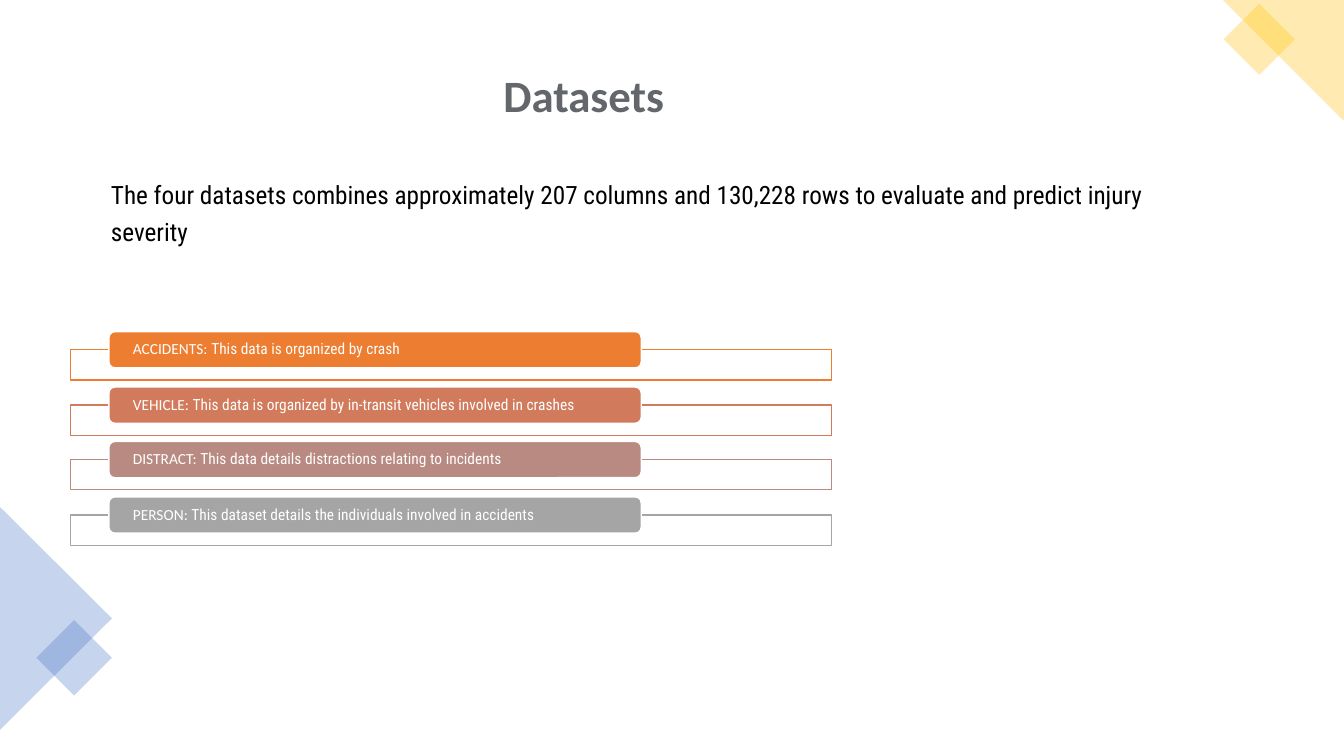
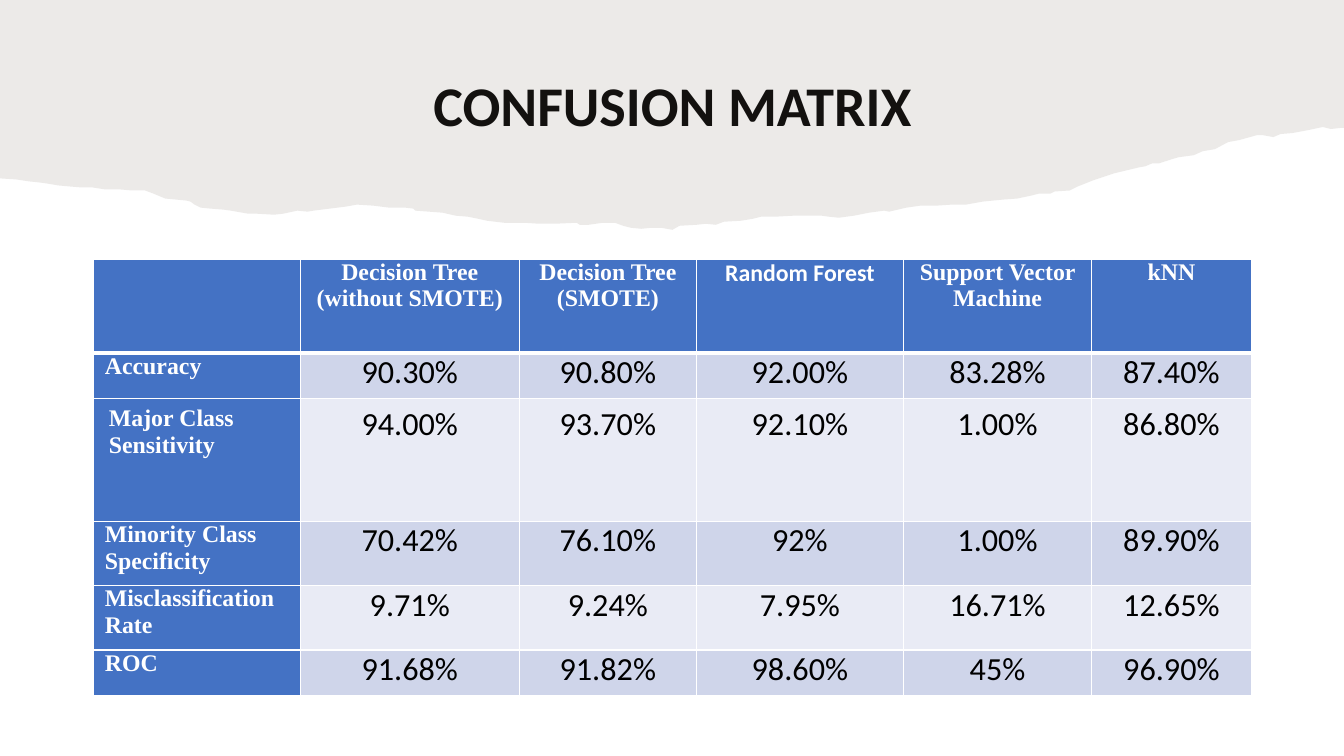
from lxml import etree
from pptx import Presentation
from pptx.dml.color import RGBColor
from pptx.enum.shapes import MSO_SHAPE
from pptx.enum.text import MSO_ANCHOR, MSO_AUTO_SIZE, PP_ALIGN
from pptx.oxml.ns import qn
from pptx.util import Pt

PX = 9144  # EMU in one px, 100 px to the inch
SLIDE_WIDTH, SLIDE_HEIGHT = 1333, 750

RECTANGLE = MSO_SHAPE.RECTANGLE
ROUNDED = MSO_SHAPE.ROUNDED_RECTANGLE
TRIANGLE = MSO_SHAPE.ISOSCELES_TRIANGLE
LEFT, CENTER = PP_ALIGN.LEFT, PP_ALIGN.CENTER
TOP, MIDDLE, BOTTOM = MSO_ANCHOR.TOP, MSO_ANCHOR.MIDDLE, MSO_ANCHOR.BOTTOM
NO_AUTOFIT = MSO_AUTO_SIZE.NONE

SANS, CONDENSED, SERIF = "Calibri", "Roboto Condensed", "Times New Roman"

WHITE = RGBColor(0xFF, 0xFF, 0xFF)
BLACK = RGBColor(0x00, 0x00, 0x00)
SLATE = RGBColor(0x63, 0x66, 0x6A)
BLUE = RGBColor(0x44, 0x72, 0xC4)
GOLD = RGBColor(0xFF, 0xC0, 0x00)
ORANGE = RGBColor(0xED, 0x7D, 0x31)
CLAY = RGBColor(0xD1, 0x7B, 0x5C)
ROSE = RGBColor(0xB9, 0x8A, 0x82)
GRAY = RGBColor(0xA5, 0xA5, 0xA5)
TAUPE = RGBColor(0x82, 0x76, 0x6A)
BAND_DARK = RGBColor(0xCF, 0xD5, 0xEA)
BAND_LIGHT = RGBColor(0xE9, 0xEB, 0xF5)

DATASETS = [
    ("ACCIDENTS: ", "This data is organized by crash", ORANGE),
    ("VEHICLE: ", "This data is organized by in-transit vehicles involved in crashes", CLAY),
    ("DISTRACT: ", "This data details distractions relating to incidents", ROSE),
    ("PERSON: ", "This dataset details the individuals involved in accidents", GRAY),
]

RESULTS = [
    ["", "Decision Tree (without SMOTE)", "Decision Tree (SMOTE)",
     "Random Forest", "Support Vector Machine", "kNN"],
    ["Accuracy", "90.30%", "90.80%", "92.00%", "83.28%", "87.40%"],
    ["Major Class Sensitivity", "94.00%", "93.70%", "92.10%", "1.00%", "86.80%"],
    ["Minority Class Specificity", "70.42%", "76.10%", "92%", "1.00%", "89.90%"],
    ["Misclassification Rate", "9.71%", "9.24%", "7.95%", "16.71%", "12.65%"],
    ["ROC", "91.68%", "91.82%", "98.60%", "45%", "96.90%"],
]
COLUMN_WIDTHS = [205, 217, 176, 205, 187, 158]
ROW_HEIGHTS = [93, 45, 122, 64, 64, 45]
ROOMY_ROW = 2

# Lower edge of the torn band, from right to left
TORN_EDGE = [
    (1333, 127), (1329, 127), (1320, 128), (1312, 126), (1298, 129), (1282, 132),
    (1270, 133), (1263, 136), (1252, 134), (1247, 134), (1229, 139), (1218, 141),
    (1205, 148), (1193, 150), (1184, 154), (1169, 156), (1162, 158), (1150, 162),
    (1143, 162), (1136, 165), (1130, 166), (1105, 172), (1084, 179), (1069, 185),
    (1061, 189), (1046, 190), (1042, 192), (1031, 192), (1023, 194), (1009, 197),
    (995, 198), (975, 200), (958, 203), (944, 203), (929, 204), (913, 204),
    (899, 206), (882, 210), (877, 209), (862, 211), (847, 214), (832, 216),
    (822, 215), (815, 214), (787, 214), (769, 215), (755, 215), (747, 217),
    (735, 219), (718, 220), (710, 223), (700, 222), (691, 223), (674, 224),
    (667, 228), (656, 226), (646, 226), (636, 227), (626, 226), (618, 224),
    (610, 221), (598, 221), (584, 223), (575, 223), (572, 221), (550, 222),
    (535, 222), (520, 221), (500, 221), (483, 219), (474, 217), (464, 215),
    (452, 214), (439, 211), (412, 209), (410, 207), (402, 206), (386, 206),
    (370, 204), (354, 203), (343, 205), (311, 209), (305, 210), (295, 209),
    (281, 212), (272, 213), (254, 212), (246, 212), (229, 209), (222, 208),
    (209, 207), (199, 206), (193, 203), (189, 200), (185, 199), (164, 197),
    (152, 192), (144, 189), (131, 189), (120, 188), (105, 188), (92, 186),
    (81, 186), (69, 185), (58, 184), (46, 182), (39, 181), (29, 180),
    (16, 178), (0, 177),
]


def place(item, left, top, width, height):
    item.left, item.top = left * PX, top * PX
    item.width, item.height = width * PX, height * PX


def set_margins(area, side, vertical):
    area.margin_left = area.margin_right = side * PX
    area.margin_top = area.margin_bottom = vertical * PX


def style_span(span, font, size, color, bold=False):
    span.font.name, span.font.size = font, Pt(size)
    span.font.color.rgb, span.font.bold = color, bold


def paint(shape, color, opacity=100, outline=None):
    shape.shadow.inherit = False
    shape.fill.solid()
    shape.fill.fore_color.rgb = color
    if opacity < 100:
        fill_color = next(shape.element.iter(qn("a:srgbClr")))
        etree.SubElement(fill_color, qn("a:alpha"), val=str(opacity * 1000))
    if outline is None:
        shape.line.fill.background()
    else:
        shape.line.color.rgb = outline
        shape.line.width = Pt(1)


def add_box(page, preset, box, color, opacity=100, outline=None, rotation=0):
    shape = page.shapes.add_shape(preset, *(length * PX for length in box))
    shape.rotation = rotation
    paint(shape, color, opacity, outline)
    return shape


def fill_placeholder(holder, box, text, anchor, align, line_spacing):
    """Place a placeholder, write one paragraph and return its run."""
    place(holder, *box)
    frame = holder.text_frame
    frame.text = text
    frame.word_wrap, frame.auto_size = True, NO_AUTOFIT
    frame.vertical_anchor = anchor
    para = frame.paragraphs[0]
    para.alignment, para.line_spacing = align, line_spacing
    para.space_before, para.space_after = Pt(0), Pt(6)
    return para.runs[0]


def add_title(page, box, text, size, color, anchor):
    span = fill_placeholder(page.shapes.title, box, text, anchor, CENTER, 0.9)
    style_span(span, SANS, size, color, bold=True)


def add_body(page, box, text):
    holder = page.placeholders[1]
    span = fill_placeholder(holder, box, text, TOP, LEFT, 1.25)
    style_span(span, CONDENSED, 18, BLACK)
    properties = holder.text_frame.paragraphs[0]._p.get_or_add_pPr()
    properties.set("marL", "0")
    properties.set("indent", "0")
    etree.SubElement(properties, qn("a:buNone"))


def add_left_ornament(page, left, top):
    add_box(page, TRIANGLE, (left - 55, top + 55, 221, 111), BLUE, 30, rotation=90)
    add_box(page, RECTANGLE, (left + 47, top + 123, 53, 53), BLUE, 30, rotation=45)


def add_corner_ornament(page, left, top):
    corner = add_box(page, TRIANGLE, (left, top, 120, 120), GOLD, 30, rotation=270)
    corner.adjustments[0] = 1.0
    add_box(page, RECTANGLE, (left + 11, top + 14, 50, 50), GOLD, 30, rotation=45)


def add_dataset(page, left, top, name, description, color):
    add_box(page, RECTANGLE, (left, top + 18, 755, 30), WHITE, 90, color)
    label = add_box(page, ROUNDED, (left + 38, top, 528, 36), color, outline=WHITE)
    frame = label.text_frame
    frame.word_wrap, frame.vertical_anchor = True, MIDDLE
    set_margins(frame, 22, 0)
    para = frame.paragraphs[0]
    para.alignment, para.line_spacing = LEFT, 0.9
    for text, font in ((name, SANS), (description, CONDENSED)):
        span = para.add_run()
        span.text = text
        style_span(span, font, 11, WHITE)


def add_dataset_list(page, left, top, span_height):
    """Spread the datasets evenly, the last one span_height below the first."""
    for index, dataset in enumerate(DATASETS):
        offset = round(index * span_height / (len(DATASETS) - 1))
        add_dataset(page, left, top + offset, *dataset)


def add_torn_band(page):
    builder = page.shapes.build_freeform(0, 0, scale=PX)
    builder.add_line_segments([(SLIDE_WIDTH, 0)] + TORN_EDGE, close=True)
    paint(builder.convert_to_shape(), TAUPE, 15)


def set_borders(cell, widths):
    """Draw white cell borders; widths gives points for left, right, top, bottom."""
    properties = cell._tc.get_or_add_tcPr()
    for index, (side, width) in enumerate(zip("LRTB", widths)):
        line = etree.Element(qn("a:ln" + side), w=str(Pt(width)))
        fill = etree.SubElement(line, qn("a:solidFill"))
        etree.SubElement(fill, qn("a:srgbClr"), val=str(WHITE))
        properties.insert(index, line)


def format_cell(cell, row, column, text):
    is_label = row == 0 or column == 0
    cell.text = text
    cell.vertical_anchor = TOP
    set_margins(cell, *((15, 7) if row == ROOMY_ROW else (11, 0)))
    cell.fill.solid()
    cell.fill.fore_color.rgb = BLUE if is_label else BAND_DARK if row % 2 else BAND_LIGHT
    set_borders(cell, (1, 1, 3 if row == 1 else 1, 3 if row == 0 else 1))
    para = cell.text_frame.paragraphs[0]
    para.alignment = LEFT if column == 0 else CENTER
    for span in para.runs:
        if is_label:
            font = SANS if text == "Random Forest" else SERIF
            style_span(span, font, 17, WHITE, bold=True)
        else:
            style_span(span, SANS, 23, BLACK)


def add_results_table(page, left, top):
    box = (left, top, sum(COLUMN_WIDTHS), sum(ROW_HEIGHTS))
    table = page.shapes.add_table(
        len(RESULTS), len(COLUMN_WIDTHS), *(length * PX for length in box)).table
    for column, width in zip(table.columns, COLUMN_WIDTHS):
        column.width = width * PX
    for row, height in zip(table.rows, ROW_HEIGHTS):
        row.height = height * PX
    for row, texts in enumerate(RESULTS):
        for column, text in enumerate(texts):
            format_cell(table.cell(row, column), row, column, text)


def build_datasets_slide(deck):
    page = deck.slides.add_slide(deck.slide_layouts[1])
    add_title(page, (70, 35, 1018, 124), "Datasets", 32, SLATE, MIDDLE)
    add_body(page, (100, 165, 1058, 84),
             "The four datasets combines approximately 207 columns and 130,228 rows "
             "to evaluate and predict injury severity")
    add_left_ornament(page, 0, 503)
    add_corner_ornament(page, 1213, 0)
    add_dataset_list(page, 70, 329, 164)


def build_matrix_slide(deck):
    page = deck.slides.add_slide(deck.slide_layouts[5])
    add_torn_band(page)
    add_title(page, (91, 54, 1152, 89), "CONFUSION MATRIX", 40, BLACK, BOTTOM)
    add_results_table(page, 93, 257)


def main():
    deck = Presentation()
    deck.slide_width, deck.slide_height = SLIDE_WIDTH * PX, SLIDE_HEIGHT * PX
    build_datasets_slide(deck)
    build_matrix_slide(deck)
    deck.save("out.pptx")


if __name__ == "__main__":
    main()
